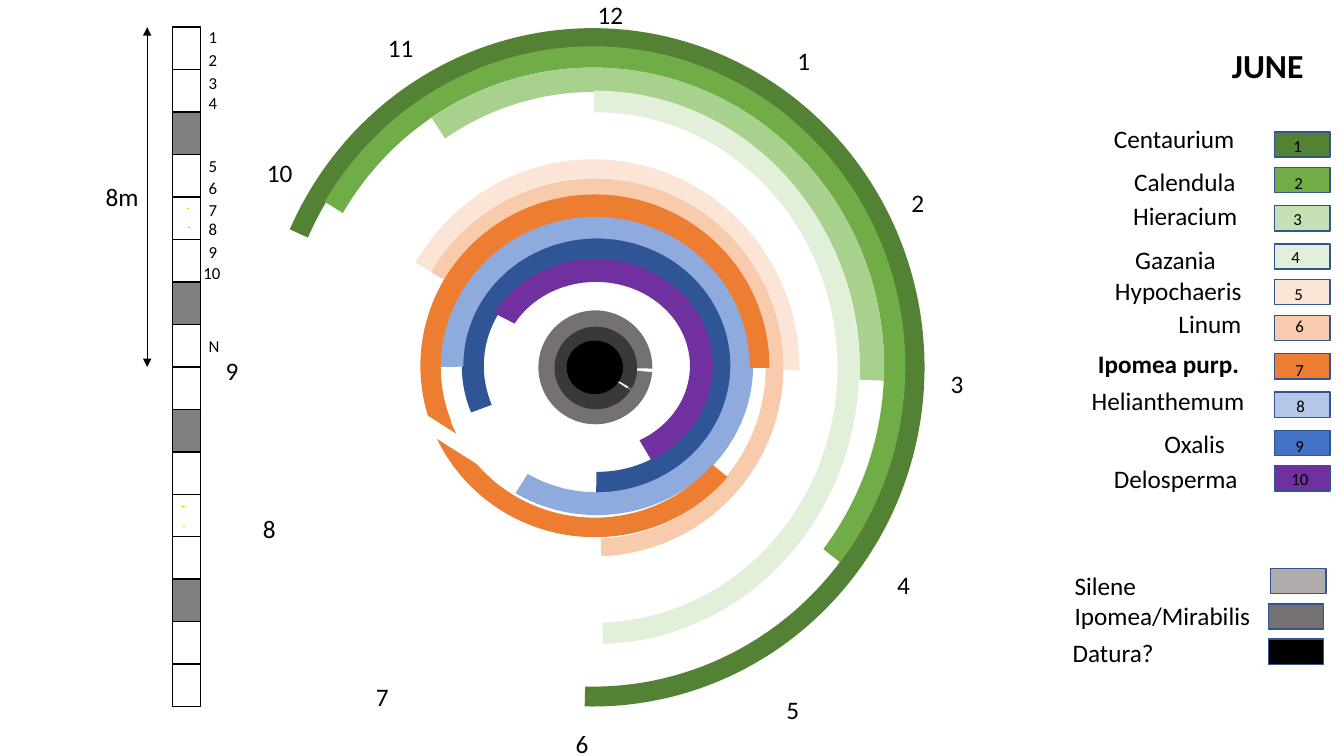
from lxml import etree
from pptx import Presentation
from pptx.dml.color import RGBColor
from pptx.enum.shapes import MSO_CONNECTOR, MSO_SHAPE
from pptx.enum.text import MSO_AUTO_SIZE
from pptx.oxml.ns import qn
from pptx.util import Inches, Pt

COLORS = {
    "black": "000000", "white": "FFFFFF", "outline": "325491", "tick": "FFC000",
    "centaurium": "548235", "calendula": "70AD47", "hieracium": "A9D18E",
    "hieracium key": "C5E0B4", "gazania": "E2F0D9", "hypochaeris": "FBE5D6",
    "linum": "F8CBAD", "ipomea": "ED7D31", "helianthemum": "8FAADC",
    "helianthemum key": "B4C7E7", "oxalis": "2F5597", "oxalis key": "4472C4",
    "delosperma": "7030A0", "silene": "AFABAB", "mirabilis": "767171",
    "night ring": "3B3838", "plot": "808080",
}


class FlowerClock:
    font = "Calibri"

    def __init__(self, page):
        self.page = page

    def color(self, name):
        return RGBColor.from_string(COLORS[name])

    def shape(self, kind, left, top, width, height, fill=None, line=None):
        shape = self.page.shapes.add_shape(
            kind, Inches(left), Inches(top), Inches(width), Inches(height))
        shape.shadow.inherit = False
        if fill:
            shape.fill.solid()
            shape.fill.fore_color.rgb = self.color(fill)
        else:
            shape.fill.background()
        if line:
            shape.line.color.rgb = self.color(line)
            shape.line.width = Pt(1)
        else:
            shape.line.fill.background()
        return shape

    def arc(self, fill, left, top, width, height, start, end, thickness):
        """Draw a band from start to end degrees, thickness in percent."""
        arc = self.shape(MSO_SHAPE.BLOCK_ARC, left, top, width, height, fill)
        # One adjustment unit is 100000, one degree is 60000
        for index, value in enumerate((start * 0.6, end * 0.6, thickness / 100)):
            arc.adjustments[index] = value

    def text(self, words, left, top, width, height=0.4, size=18, bold=False, wrap=False):
        box = self.page.shapes.add_textbox(
            Inches(left), Inches(top), Inches(width), Inches(height))
        frame = box.text_frame
        frame.text = words
        frame.word_wrap = wrap
        frame.auto_size = MSO_AUTO_SIZE.SHAPE_TO_FIT_TEXT
        for para in frame.paragraphs:
            for span in para.runs:
                span.font.name = self.font
                span.font.size = Pt(size)
                span.font.bold = bold
                span.font.color.rgb = self.color("black")

    def line(self, x1, y1, x2, y2, color, arrows=False):
        line = self.page.shapes.add_connector(
            MSO_CONNECTOR.STRAIGHT, Inches(x1), Inches(y1), Inches(x2), Inches(y2))
        line.line.color.rgb = self.color(color)
        line.line.width = Pt(0.5)
        if arrows:
            outline = line.line._get_or_add_ln()
            for end in ("a:headEnd", "a:tailEnd"):
                etree.SubElement(outline, qn(end)).set("type", "triangle")
        etree.SubElement(line._element.spPr, qn("a:effectLst"))


deck = Presentation()
deck.slide_width, deck.slide_height = Inches(13.33), Inches(7.5)
clock = FlowerClock(deck.slides.add_slide(deck.slide_layouts[6]))

# Flowering hours: colour, left, top, width, height, start, end, thickness
for band in [
    ("centaurium", 2.59, 0.28, 6.58, 6.73, 204.49, 91.38, 3),
    ("calendula", 2.78, 0.46, 6.2, 6.35, 211.55, 38.4, 3.4),
    ("oxalis", 4.58, 2.36, 2.69, 2.54, 159.74, 90.54, 8.6),
    ("delosperma", 4.75, 2.57, 2.32, 2.12, 207.47, 59.57, 10.7),
    ("helianthemum", 4.37, 2.14, 3.1, 2.97, 179.43, 122.47, 7.6),
    ("hypochaeris", 3.84, 1.58, 4.09, 4.15, 210.78, 0.53, 4.5),
    ("hieracium", 3, 0.67, 5.77, 5.95, 237.07, 2.64, 4.2),
    ("linum", 4.02, 1.77, 3.75, 3.75, 210.3, 87.88, 4.7),
    ("ipomea", 4.18, 1.96, 3.45, 3.36, 159.27, 0.39, 5.7),
    ("gazania", 3.3, 0.9, 5.22, 5.49, 269.63, 88.49, 4.1),
    ("mirabilis", 5.34, 3.08, 1.13, 1.13, 4.7, 1.25, 16.5),
    ("night ring", 5.5, 3.24, 0.82, 0.82, 33.23, 29.73, 21.7),
    ("ipomea", 4.17, 1.93, 3.46, 3.4, 40, 0.39, 5.7),
]:
    clock.arc(*band)
clock.shape(MSO_SHAPE.OVAL, 5.62, 3.38, 0.56, 0.53, "black")
gap = clock.shape(MSO_SHAPE.RECTANGLE, 3.81, 4.28, 1.29, 0.13, "white", "white")
gap.rotation = 32.4

# Hours around the dial
hours = [(7.81, 0.4, 0.28), (8.94, 1.81, 0.28), (9.33, 3.6, 0.28), (8.8, 5.6, 0.28),
         (7.7, 6.84, 0.28), (5.61, 7.18, 0.28), (3.63, 6.71, 0.21), (2.51, 5.04, 0.21),
         (2.14, 3.48, 0.21), (2.55, 1.51, 0.53), (3.75, 0.27, 0.54), (5.83, -0.06, 0.48)]
for hour, (left, top, width) in enumerate(hours, 1):
    clock.text(str(hour), left, top, width, 0.42, wrap=True)

# Strip of plots
PLOTS, STRIP_TOP, STRIP_HEIGHT = 16, 0.27, 6.74
plot_height = STRIP_HEIGHT / PLOTS
for plot in range(PLOTS):
    clock.shape(MSO_SHAPE.RECTANGLE, 1.71, STRIP_TOP + plot * plot_height, 0.28,
                plot_height, "plot" if plot in (2, 6, 9, 13) else None, "black")
for left, top in [(1.85, 2.07), (1.86, 2.26), (1.82, 5.22), (1.81, 5.02)]:
    clock.line(left, top, left + 0.02, top, "tick")
plot_labels = [("1", 0.22), ("2", 0.44), ("3", 0.67), ("4", 0.87), ("5", 1.5), ("6", 1.71),
               ("7", 1.93), ("8", 2.12), ("9", 2.35), ("10", 2.56), ("N", 3.28)]
for label, top in plot_labels:
    wide = label == "10"
    clock.text(label, 1.92 if wide else 1.97, top, 0.37 if wide else 0.29, 0.3, 12)
clock.line(1.46, 0.27, 1.46, 3.64, "black", arrows=True)
clock.text("8m", 0.95, 1.75, 0.6, wrap=True)

# Day key: name, left, top, width, colour, swatch top, number left, number top
clock.text("JUNE", 12.12, 0.4, 0.92, 0.5, 24, bold=True)
day_key = [
    ("Centaurium", 10.95, 1.17, 1.41, "centaurium", 1.31, 12.73, 1.3),
    ("Calendula", 11.15, 1.6, 1.22, "calendula", 1.66, 12.74, 1.66),
    ("Hieracium", 11.14, 1.94, 1.25, "hieracium key", 2.04, 12.73, 2.02),
    ("Gazania", 11.16, 2.37, 1.01, "gazania", 2.42, 12.71, 2.4),
    ("Hypochaeris ", 10.96, 2.68, 1.53, "hypochaeris", 2.77, 12.74, 2.77),
    ("Linum", 11.59, 3.01, 0.94, "linum", 3.13, 12.75, 3.08),
    ("Ipomea purp.", 10.79, 3.41, 1.93, "ipomea", 3.51, 12.75, 3.52),
    ("Helianthemum", 10.73, 3.77, 1.73, "helianthemum key", 3.89, 12.76, 3.88),
    ("Oxalis", 11.45, 4.2, 0.81, "oxalis key", 4.27, 12.75, 4.27),
    ("Delosperma", 10.95, 4.55, 1.44, "delosperma", 4.62, 12.71, 4.6),
]
for number, (name, left, top, width, fill, swatch_top, x, y) in enumerate(day_key, 1):
    clock.text(name, left, top, width, bold=name == "Ipomea purp.",
               wrap=name in ("Linum", "Ipomea purp."))
    clock.shape(MSO_SHAPE.RECTANGLE, 12.64, swatch_top, 0.55, 0.25, fill, "outline")
    clock.text(str(number), x, y, 0.37 if number == 10 else 0.29, 0.3, 12)

# Night key
clock.text("Silene\nIpomea/Mirabilis", 10.56, 5.61, 2.51, 1.01, wrap=True)
clock.text("Datura?", 10.54, 6.27, 1.01)
for fill, left, top in [("silene", 12.6, 5.64), ("mirabilis", 12.58, 5.99),
                        ("black", 12.58, 6.34)]:
    clock.shape(MSO_SHAPE.RECTANGLE, left, top, 0.55, 0.25, fill, "outline")

deck.save("out.pptx")
